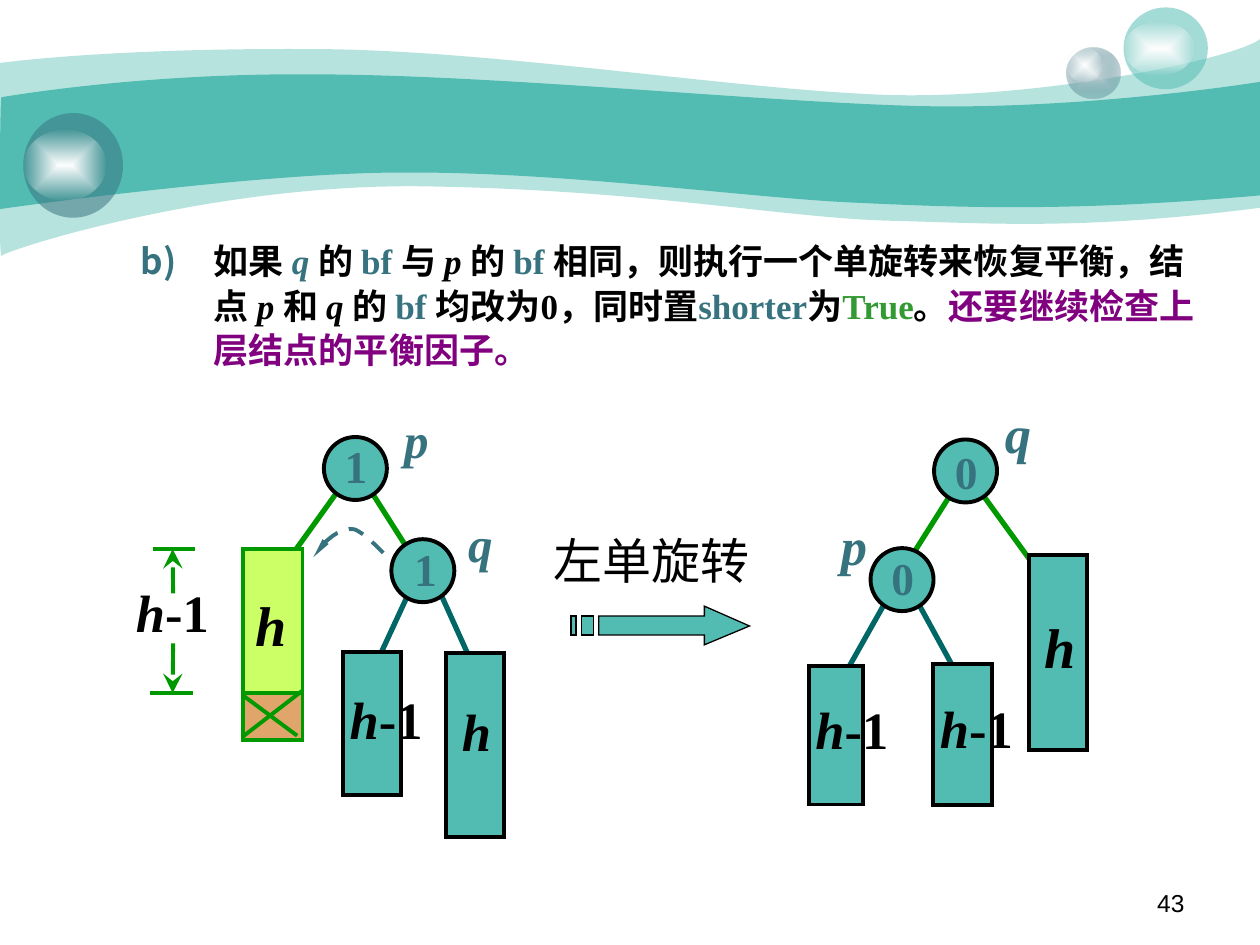
from lxml.etree import SubElement
from pptx import Presentation
from pptx.dml.color import RGBColor
from pptx.enum.dml import MSO_LINE_DASH_STYLE as DASH
from pptx.enum.shapes import MSO_CONNECTOR as LINK, MSO_SHAPE as SHAPE
from pptx.enum.text import MSO_AUTO_SIZE as FIT, PP_ALIGN as ALIGN
from pptx.oxml.ns import qn
from pptx.util import Cm, Pt

COLORS = {
    "teal": "52BCB2", "slate": "37737F", "mist": "CCDBDE", "white": "FFFFFF",
    "black": "000000", "branch": "009900", "twig": "006666", "lime": "CCFF66",
    "tan": "E0A56A", "true": "339933", "purple": "800080",
}


def rgb(color):
    return RGBColor.from_string(COLORS[color])


def write(paragraph, text, size=30, color="black", bold=True, italic=False, font="Times New Roman"):
    run = paragraph.add_run()
    run.text = text
    run.font.size = Pt(size)
    run.font.name = font
    run.font.bold = bold
    run.font.italic = italic
    run.font.color.rgb = rgb(color)


def corners(contour):
    return [(Cm(part[i]), Cm(part[i + 1])) for part in contour for i in range(0, len(part), 2)]


def bend(freeform, contours):
    track = freeform.element.spPr.find(".//" + qn("a:path"))
    steps = iter(track.findall(qn("a:lnTo")))
    for part in (part for contour in contours for part in contour[1:]):
        step = next(steps)
        if len(part) == 6:
            curve = step.makeelement(qn("a:cubicBezTo"))
            step.addprevious(curve)
            for control in (step, next(steps), next(steps)):
                curve.append(control[0])
                track.remove(control)


def block(left, top, right, bottom):
    return [(left, top), (left, bottom), (right, bottom), (right, top)]


class TreeSlide:
    def __init__(self, slide):
        self.slide = slide
        self.shapes = slide.shapes

    def paint(self, shape, fill=None, line=None, width=2.25, alpha=None):
        shape.shadow.inherit = False
        if fill:
            shape.fill.solid()
            shape.fill.fore_color.rgb = rgb(fill)
        else:
            shape.fill.background()
        if alpha:
            tint = shape.element.spPr.find(qn("a:solidFill"))[0]
            SubElement(tint, qn("a:alpha"), val=str(alpha * 1000))
        if line:
            shape.line.color.rgb = rgb(line)
            shape.line.width = Pt(width)
            SubElement(shape.element.spPr.find(qn("a:ln")), qn("a:miter"), lim="800000")
        else:
            shape.line.fill.background()
        return shape

    def shape(self, kind, box, **style):
        return self.paint(self.shapes.add_shape(kind, *map(Cm, box)), **style)

    def glow(self, box, inner="white", outer="white", alpha=0):
        ball = self.shape(SHAPE.OVAL, box)
        blank = ball.element.spPr.find(qn("a:noFill"))
        gradient = blank.makeelement(qn("a:gradFill"), {"rotWithShape": "1"})
        blank.getparent().replace(blank, gradient)
        stops = SubElement(gradient, qn("a:gsLst"))
        for pos, color, opacity in ((0, inner, 100), (100, outer, alpha)):
            stop = SubElement(stops, qn("a:gs"), pos=str(pos * 1000))
            tint = SubElement(stop, qn("a:srgbClr"), val=COLORS[color])
            SubElement(tint, qn("a:alpha"), val=str(opacity * 1000))
        rect = SubElement(gradient, qn("a:path"), path="rect")
        SubElement(rect, qn("a:fillToRect"), {side: "50000" for side in "ltrb"})

    def outline(self, *contours, close=True, **style):
        first, *others = map(corners, contours)
        builder = self.shapes.build_freeform(*first[0], scale=1.0)
        builder.add_line_segments(first[1:], close=close)
        for points in others:
            builder.move_to(*points[0])
            builder.add_line_segments(points[1:], close=close)
        freeform = builder.convert_to_shape()
        bend(freeform, contours)
        return self.paint(freeform, **style)

    def line(self, ends, color="branch", width=3, arrow=None):
        link = self.shapes.add_connector(LINK.STRAIGHT, *map(Cm, ends))
        link.line.color.rgb = rgb(color)
        link.line.width = Pt(width)
        if arrow:
            SubElement(link.element.spPr.find(qn("a:ln")), qn("a:tailEnd"),
                       type=arrow, w="lg", len="lg")
        SubElement(link.element.spPr, qn("a:effectLst"))

    def text(self, box, *runs, wrap=True, align=ALIGN.LEFT, grow=True, **style):
        frame = self.shapes.add_textbox(*map(Cm, box)).text_frame
        frame.word_wrap = wrap
        frame.auto_size = FIT.SHAPE_TO_FIT_TEXT if grow else FIT.NONE
        paragraph = frame.paragraphs[0]
        paragraph.alignment = align
        for content, changes in runs:
            write(paragraph, content, **{**style, **changes})
        return paragraph

    def lettered(self, box, start, *runs, **style):
        paragraph = self.text(box, *runs, grow=False, **style)
        paragraph.line_spacing = 1.05
        props = paragraph._p.get_or_add_pPr()
        props.set("marL", str(Cm(2.74)))
        props.set("indent", str(Cm(-1.47)))
        props.set("hangingPunct", "0")
        SubElement(SubElement(props, qn("a:buClr")), qn("a:srgbClr"), val=COLORS["slate"])
        SubElement(props, qn("a:buAutoNum"), type="alphaLcParenR", startAt=str(start))


def draw_header(page):
    page.outline([
        (0, 1.27), (0.61, 1.19, 2.72, 0.97, 6.27, 0.99), (9.8, 0.99, 14.61, 1.78, 17.75, 1.91),
        (20.88, 2.03, 24.89, 1.19, 25.4, 0.79), (25.4, 4.19),
        (21.79, 4.65, 19.99, 4.5, 17.91, 4.45), (15.8, 4.39, 13.08, 3.84, 8.71, 3.76),
        (4.37, 3.66, 0.1, 5.05, 0.03, 5.16), (-0.03, 5.28, 0, 1.91, 0, 1.27),
    ], fill="teal", alpha=41)
    page.outline([
        (0.03, 1.96), (0.05, 1.96, 2.79, 1.47, 6.3, 1.5), (9.8, 1.5, 15.11, 2.03, 18.24, 2.13),
        (21.36, 2.24, 24.79, 1.75, 25.4, 1.65), (25.4, 3.94),
        (21.67, 4.27, 19.43, 4.19, 17.32, 4.09), (15.21, 4.01, 11.35, 3.45, 8.05, 3.48),
        (5.16, 3.48, -0.05, 4.22, -0.03, 4.22), (0, 4.22, 0, 1.96, 0.03, 1.96),
    ], fill="teal")
    page.glow((21.51, 0.97, 1.07, 1.02), "mist", "slate", 31)
    page.glow((21.51, 0.97, 0.71, 0.69))
    page.shape(SHAPE.OVAL, (22.65, 0.15, 1.7, 1.65), fill="teal", alpha=53)
    page.glow((22.65, 0.43, 1.42, 1.09))
    page.shape(SHAPE.OVAL, (0.47, 2.28, 2.01, 2.11), fill="slate", alpha=53)
    page.glow((0.47, 2.62, 1.68, 1.42))


def draw_rule(page):
    term, var, plain = {"color": "slate"}, {"italic": True}, {}
    page.lettered(
        (1.32, 4.67, 23.37, 3.61), 2,
        ("如果 ", plain), ("q ", {**term, **var}), ("的 ", plain), ("bf ", term), ("与 ", plain),
        ("p ", var), ("的 ", plain), ("bf ", term),
        ("相同，则执行一个单旋转来恢复平衡，结点 ", plain), ("p ", var), ("和 ", plain),
        ("q ", var), ("的 ", plain), ("bf ", term), ("均改为0，同时置", plain),
        ("shorter", term), ("为", plain), ("True", {"color": "true"}), ("。", plain),
        ("还要继续检查上层结点的平衡因子。", {"color": "purple"}), size=20)


def draw_rotation(page):
    page.outline(
        [(14.2, 12.22), (14.2, 12.42), (12.07, 12.42), (12.07, 12.8),
         (14.2, 12.8), (14.2, 13), (15.11, 12.62)],
        block(11.73, 12.42, 11.96, 12.8), block(11.51, 12.42, 11.61, 12.8),
        fill="teal", line="black", width=0.75)
    page.text((10.91, 10.57, 4.45, 1.45), ("左单旋转", {}), wrap=False, size=28, bold=False)
    turn = page.outline([
        (6.32, 11.23), (6.38, 11.15, 6.43, 11.05, 6.5, 10.97),
        (6.6, 10.9, 6.76, 10.74, 6.88, 10.72), (7.01, 10.67, 7.09, 10.62, 7.24, 10.72),
        (7.39, 10.8, 7.72, 11.13, 7.8, 11.23)], close=False, line="slate")
    turn.line.dash_style = DASH.DASH
    SubElement(turn.element.spPr.find(qn("a:ln")), qn("a:headEnd"),
               type="triangle", w="sm", len="lg")


def draw_trees(page):
    for twig in ((17.96, 11.94, 16.89, 13.84), (18.39, 11.94, 19.43, 13.84),
                 (8.79, 11.76, 9.65, 13.67), (8.46, 11.48, 7.59, 13.36)):
        page.line(twig, "twig")
    for branch in ((19.46, 9.5, 17.98, 11.84), (19.61, 9.7, 21.31, 12.04),
                   (7.19, 9.45, 8.66, 11.76), (6.99, 9.65, 5.31, 11.99)):
        page.line(branch)
    for left, top in ((18.83, 8.86), (17.55, 11.05), (6.53, 8.81), (7.89, 10.87)):
        page.shape(SHAPE.OVAL, (left, top, 1.27, 1.27), fill="teal", line="black")
    for subtree in ((16.31, 13.43, 1.09, 2.79), (18.81, 13.39, 1.19, 2.84),
                    (20.74, 11.19, 1.17, 3.93), (6.92, 13.14, 1.17, 2.89),
                    (8.99, 13.17, 1.17, 3.7)):
        page.shape(SHAPE.RECTANGLE, subtree, fill="teal", line="black")
    page.shape(SHAPE.RECTANGLE, (4.9, 11.07, 1.2, 3.81), fill="lime", line="branch")
    page.shape(SHAPE.RECTANGLE, (4.9, 13.97, 1.2, 0.95), fill="tan", line="branch")
    for stroke in ((6.1, 13.92, 4.88, 14.86), (4.9, 14.02, 5.99, 14.83),
                   (3.03, 13.97, 3.89, 13.97), (3.08, 11.07, 3.94, 11.07)):
        page.line(stroke, width=2.25)
    for measure in ((3.49, 12.97, 3.48, 13.97), (3.49, 11.96, 3.48, 11.07)):
        page.line(measure, width=2.25, arrow="stealth")


def draw_labels(page):
    for factor, left, top in (("0", 17.72, 10.97), ("0", 19, 8.82),
                              ("1", 6.7, 8.71), ("1", 8.1, 10.78)):
        page.text((left, top, 1.47, 1.37), (factor, {}), size=26, color="slate")
    for left, top in ((18.7, 13.9), (16.19, 13.92), (6.8, 13.72), (2.49, 11.57)):
        page.text((left, top, 2.11, 1.52), ("h", {"italic": True}), ("-1", {}))
    for left, top, size in ((20.8, 12.23, 32), (4.9, 11.77, 32), (9.06, 13.97, 30)):
        page.text((left, top, 1.07, 1.63), ("h", {}), size=size, italic=True)
    for node, left, top, size in (("p", 16.7, 10.21, 30), ("q", 20.01, 7.97, 30),
                                  ("p", 7.9, 8.13, 28), ("q", 9.19, 10.23, 28)):
        page.text((left, top, 1.32, 1.52), (node, {}), size=size, color="slate", italic=True)
    page.text((18.21, 17.78, 5.92, 0.89), ("43", {}), align=ALIGN.RIGHT, grow=False,
              size=14, bold=False, font="Arial")


def main():
    deck = Presentation()
    deck.slide_width, deck.slide_height = Cm(25.4), Cm(19.05)
    page = TreeSlide(deck.slides.add_slide(deck.slide_layouts[6]))
    for draw in (draw_header, draw_rule, draw_rotation, draw_trees, draw_labels):
        draw(page)
    deck.save("out.pptx")


if __name__ == "__main__":
    main()
